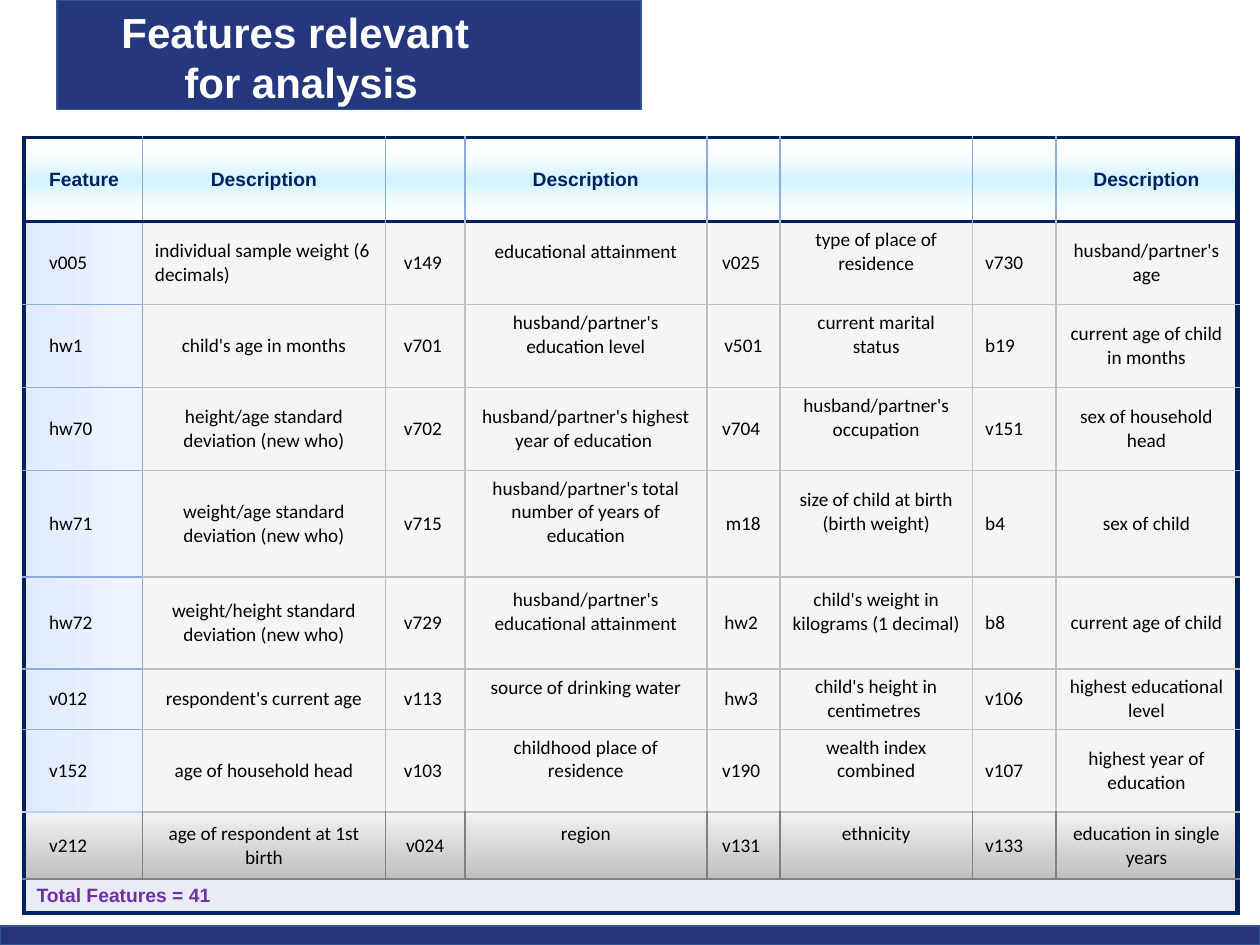
"""Builds the slide that lists the features relevant for analysis."""
import lxml.etree
import pptx
import pptx.dml.color
import pptx.enum.shapes
import pptx.enum.text
import pptx.oxml.ns
import pptx.util
from pptx.util import Inches

NAVY, BLUE, SILVER, GRAY = "002060", "8FAADC", "BFBFBF", "808080"
HEADER_STOPS = [(0, "FFFFFF"), (27, "F5FCFF"), (50, "D1F3FF"), (76, "F2FCFF"), (100, "FFFFFF")]
CODE_STOPS = [(0, "E1EBFF"), (100, "EEF4FF")]
BOTTOM_STOPS = [(0, "BFBFBF"), (100, "F2F2F2")]
COLUMN_WIDTHS = [0.94, 1.93, 0.63, 1.92, 0.58, 1.53, 0.66, 1.44]
ROW_HEIGHTS = [0.67, 0.61, 0.61, 0.61, 0.79, 0.73, 0.48, 0.61, 0.53, 0.27]
ROWS = [
    ["Feature", "Description", "", "Description", "", "", "", "Description"],
    ["v005", "individual sample weight (6 decimals)", "v149 ", "educational attainment",
     "v025 ", "type of place of residence", "v730", "husband/partner's age"],
    ["hw1", "child's age in months", "v701 ", "husband/partner's education level",
     "v501", "current marital status", "b19", "current age of child in months"],
    ["hw70", "height/age standard deviation (new who)", "v702 ",
     "husband/partner's highest year of education ",
     "v704 ", "husband/partner's occupation", "v151", "sex of household head"],
    ["hw71", "weight/age standard deviation (new who)", "v715 ",
     "husband/partner's total number of years of education",
     "m18", "size of child at birth\n(birth weight)", "b4", "sex of child"],
    ["hw72", "weight/height standard deviation (new who)", "v729 ",
     "husband/partner's educational attainment",
     "hw2 ", "child's weight in kilograms (1 decimal)", "b8", "current age of child"],
    ["v012", "respondent's current age", "v113 ", "source of drinking water",
     "hw3 ", "child's height in centimetres ", "v106", "highest educational level"],
    ["v152", "age of household head", "v103 ", "childhood place of residence",
     "v190 ", "wealth index combined", "v107", "highest year of education"],
    ["v212", "age of respondent at 1st birth", "v024", "region",
     "v131 ", "ethnicity", "v133", "education in single years"],
    ["Total Features = 41"],
]
LAST_ROW, LAST_COLUMN = len(ROWS) - 1, len(COLUMN_WIDTHS)
CENTERED_CELLS = [(3, 3), (6, 5)]


def color(value):
    return pptx.dml.color.RGBColor.from_string(value)


def write(text_frame, text, size, font_name, font_color, bold, alignment):
    for index, line in enumerate(text.split("\n")):
        paragraph = text_frame.add_paragraph() if index else text_frame.paragraphs[0]
        paragraph.alignment = alignment
        run = paragraph.add_run()
        run.text = line
        run.font.size = pptx.util.Pt(size)
        run.font.name = font_name
        run.font.bold = bold
        run.font.color.rgb = color(font_color)


LEFT = pptx.enum.text.PP_ALIGN.LEFT
CENTER = pptx.enum.text.PP_ALIGN.CENTER
presentation = pptx.Presentation()
presentation.slide_width, presentation.slide_height = Inches(10), Inches(7.5)
slide = presentation.slides.add_slide(presentation.slide_layouts[5])

for left, top, width, height, fill in [(0, 7.35, 10, 0.15, "263578"), (0.45, 0, 4.64, 0.87, "25377D")]:
    bar = slide.shapes.add_shape(pptx.enum.shapes.MSO_SHAPE.RECTANGLE,
                                 Inches(left), Inches(top), Inches(width), Inches(height))
    bar.shadow.inherit = False
    bar.fill.solid()
    bar.fill.fore_color.rgb = color(fill)
    bar.line.color.rgb = color("325491")
    bar.line.width = pptx.util.Pt(1)

table = slide.shapes.add_table(len(ROWS), LAST_COLUMN, Inches(0.19), Inches(1.09),
                               Inches(sum(COLUMN_WIDTHS)), Inches(sum(ROW_HEIGHTS))).table
table.first_row = table.horz_banding = False
for column, width in zip(table.columns, COLUMN_WIDTHS):
    column.width = Inches(width)
for row, height in zip(table.rows, ROW_HEIGHTS):
    row.height = Inches(height)
table.cell(LAST_ROW, 0).merge(table.cell(LAST_ROW, LAST_COLUMN - 1))

for row_index, texts in enumerate(ROWS):
    for column_index, text in enumerate(texts):
        cell = table.cell(row_index, column_index)
        is_total = row_index == LAST_ROW
        is_body = 0 < row_index < LAST_ROW
        cell.vertical_anchor = pptx.enum.text.MSO_ANCHOR.MIDDLE
        if column_index == 0 and not is_total:
            cell.margin_left = Inches(0.2)
        if is_body and column_index in (3, 5) and (row_index, column_index) not in CENTERED_CELLS:
            cell.margin_bottom = Inches(0.23)
        if text:
            is_left = column_index in (0, 6) or (row_index, column_index) == (1, 1)
            font_color = "7030A0" if is_total else "000000" if is_body else NAVY
            write(cell.text_frame, text, 11, "Calibri" if is_body else "Arial", font_color,
                  not is_body, LEFT if is_left else CENTER)

        borders = []
        for tag, edge in (("a:lnL", column_index), ("a:lnR", column_index + 1)):
            if is_total or edge in (0, LAST_COLUMN):
                border = (NAVY, 3)
            elif row_index == LAST_ROW - 1:
                border = (GRAY, 1)
            else:
                border = (BLUE if row_index == 0 or edge == 1 else SILVER, 1)
            borders.append((tag, *border))
        for tag, edge in (("a:lnT", row_index), ("a:lnB", row_index + 1)):
            if edge in (0, 1):
                border = (NAVY, 2.25)
            elif edge > LAST_ROW:
                border = (NAVY, 3)
            elif edge == LAST_ROW:
                border = (GRAY, 1)
            elif column_index == 0:
                border = ("BDD3FF" if edge == LAST_ROW - 1 else BLUE, 1)
            else:
                border = (SILVER, 1)
            borders.append((tag, *border))

        properties = cell._tc.get_or_add_tcPr()
        qn = pptx.oxml.ns.qn
        for tag, border_color, border_width in borders:
            line = lxml.etree.SubElement(properties, qn(tag), w=str(pptx.util.Pt(border_width)))
            solid = lxml.etree.SubElement(line, qn("a:solidFill"))
            lxml.etree.SubElement(solid, qn("a:srgbClr"), val=border_color)

        if row_index == 0:
            stops, angle = HEADER_STOPS, 90
        elif row_index == LAST_ROW - 1:
            stops, angle = BOTTOM_STOPS, 270
        elif column_index == 0 and is_body:
            stops, angle = CODE_STOPS, 0
        else:
            cell.fill.solid()
            cell.fill.fore_color.rgb = color("E9EBF5" if is_total else "F5F5F5")
            continue
        gradient = lxml.etree.SubElement(properties, qn("a:gradFill"))
        stop_list = lxml.etree.SubElement(gradient, qn("a:gsLst"))
        for position, stop_color in stops:
            stop = lxml.etree.SubElement(stop_list, qn("a:gs"), pos=str(position * 1000))
            lxml.etree.SubElement(stop, qn("a:srgbClr"), val=stop_color)
        lxml.etree.SubElement(gradient, qn("a:lin"), ang=str(angle * 60000), scaled="0")

title = slide.shapes.title
title.left, title.top, title.width, title.height = Inches(0.85), Inches(0), Inches(3.08), Inches(0.91)
title.text_frame.word_wrap = False
title.text_frame.auto_size = pptx.enum.text.MSO_AUTO_SIZE.SHAPE_TO_FIT_TEXT
title.text_frame.vertical_anchor = pptx.enum.text.MSO_ANCHOR.TOP
write(title.text_frame, "Features relevant \nfor analysis", 24, "Arial", "FFFFFF", True, CENTER)
title.element.getparent().append(title.element)

presentation.save("out.pptx")
